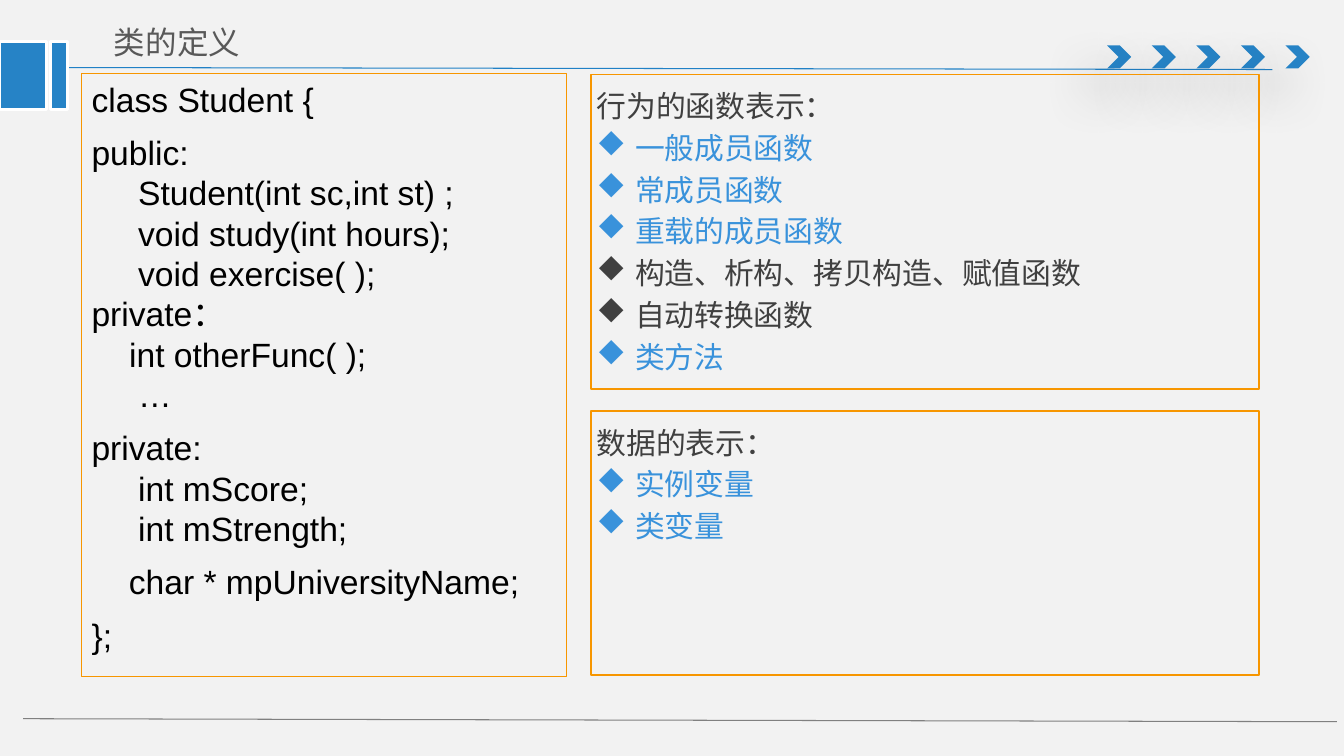
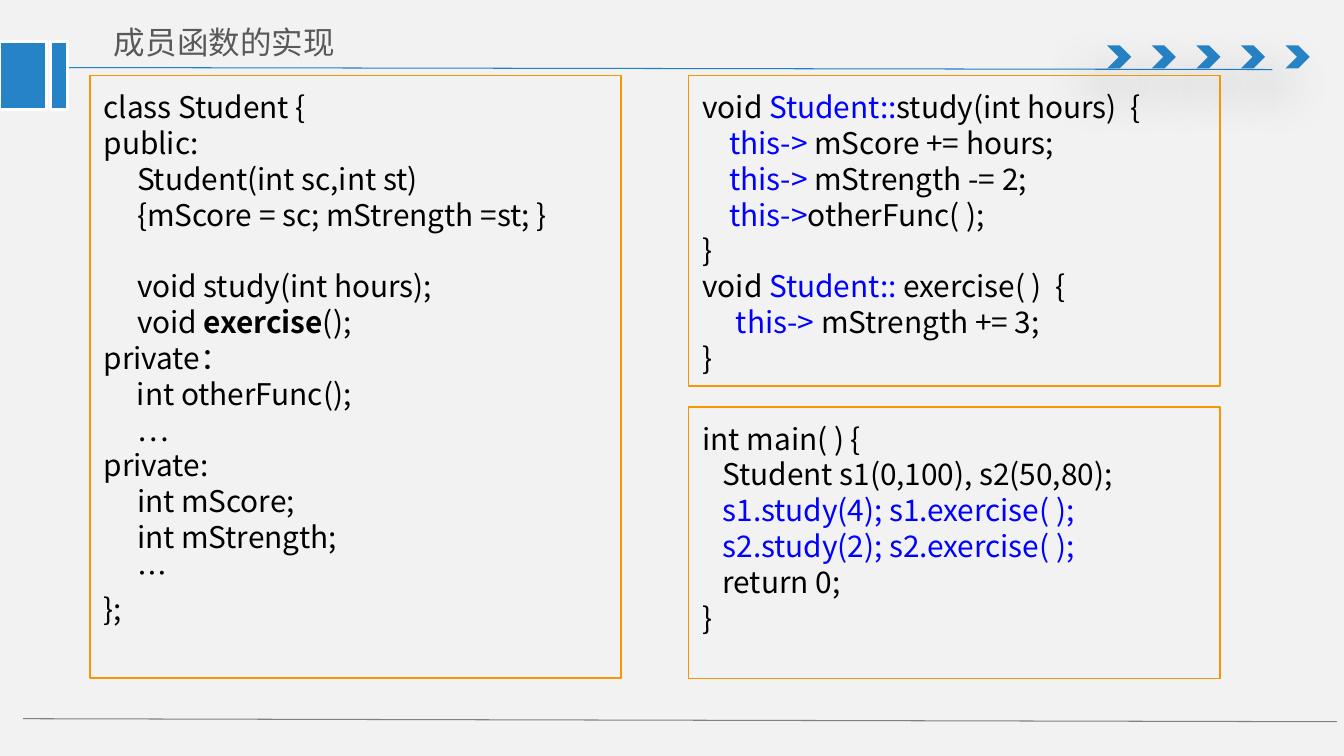
from lxml import etree
from pptx import Presentation
from pptx import util as u
from pptx.dml import color
from pptx.enum import shapes, text
from pptx.oxml import ns

BLUE = "2683C6"
RULE_BLUE = "2181C6"
GRAY = "808080"
TITLE_GRAY = "595959"
BODY_GRAY = "404040"
HIGHLIGHT = "3992DB"
KEYWORD = "0000FF"
ORANGE = "F79600"
BLACK = "000000"
WHITE = "FFFFFF"
BACKGROUND = "F2F2F2"
CJK_FONT = "Noto Sans CJK SC"
CODE_FONT = "Arial"


def rgb(value):
    return color.RGBColor.from_string(value)


def add_xml(parent, tag, **attributes):
    return etree.SubElement(parent, ns.qn(tag), attributes)


class Deck:
    def __init__(self):
        self.presentation = Presentation()
        self.presentation.slide_width = u.Inches(13.33)
        self.presentation.slide_height = u.Inches(7.5)
        self.slide = None

    def new_slide(self, title):
        self.slide = self.presentation.slides.add_slide(self.presentation.slide_layouts[6])
        fill = self.slide.background.fill
        fill.solid()
        fill.fore_color.rgb = rgb(BACKGROUND)
        self.rule((0.53, 0.67), (12.62, 0.69), RULE_BLUE)
        first, last, count = 10.98, 12.75, 5
        for index in range(count):
            left = first + index * (last - first) / (count - 1)
            chevron = self.shape((left, 0.45, 0.24, 0.23), shapes.MSO_SHAPE.CHEVRON, fill=BLUE)
            self.soft_shadow(chevron)
        self.rule((0.23, 7.13), (13.26, 7.16), GRAY)
        for left, width in ((0, 0.46), (0.5, 0.17)):
            self.shape((left, 0.41, width, 0.68), fill=BLUE, line=WHITE, weight=2)
        box = self.text_box((0.99, 0.14, 4.63, 0.55))
        frame = box.text_frame
        frame.vertical_anchor = text.MSO_ANCHOR.MIDDLE
        frame.margin_left = frame.margin_right = u.Inches(0.14)
        frame.margin_top = frame.margin_bottom = u.Inches(0.07)
        self.add_text(box, [[(title, TITLE_GRAY)]], size=22.5)

    def rule(self, start, end, line):
        connector = self.slide.shapes.add_connector(
            shapes.MSO_CONNECTOR.STRAIGHT, *map(u.Inches, start + end))
        connector.line.color.rgb = rgb(line)
        connector.line.width = u.Pt(0.75)
        add_xml(connector._element.spPr, "a:effectLst")

    def shape(self, place, kind=shapes.MSO_SHAPE.RECTANGLE, fill=None, line=None,
              weight=1.25, parent=None):
        shape = (parent or self.slide).shapes.add_shape(kind, *map(u.Inches, place))
        shape.shadow.inherit = False
        if fill:
            shape.fill.solid()
            shape.fill.fore_color.rgb = rgb(fill)
        else:
            shape.fill.background()
        if line:
            shape.line.color.rgb = rgb(line)
            shape.line.width = u.Pt(weight)
        else:
            shape.line.fill.background()
        return shape

    def soft_shadow(self, shape):
        effects = shape._element.spPr.find(ns.qn("a:effectLst"))
        shadow = add_xml(effects, "a:outerShdw", blurRad=str(u.Pt(36)), dist=str(u.Pt(24)),
                         dir=str(130 * 60000), algn="ctr", rotWithShape="0")
        tint = add_xml(shadow, "a:srgbClr", val=BLACK)
        add_xml(tint, "a:alpha", val="38000")

    def text_box(self, place, parent=None):
        box = (parent or self.slide).shapes.add_textbox(*map(u.Inches, place))
        box.text_frame.word_wrap = True
        return box

    def add_text(self, shape, paragraphs, size=21.3, font=CJK_FONT, pitch=None, gap=0,
                 bullets=False):
        frame = shape.text_frame
        for index, runs in enumerate(paragraphs):
            paragraph = frame.add_paragraph() if index else frame.paragraphs[0]
            paragraph.alignment = text.PP_ALIGN.LEFT
            if pitch:
                paragraph.line_spacing = u.Pt(pitch)
            if index and gap:
                paragraph.space_before = u.Pt(gap)
            if index and bullets:
                self.bullet(paragraph)
            for content, ink, *bold in runs:
                for number, line in enumerate(content.split("\n")):
                    if number:
                        paragraph.add_line_break()
                    if line:
                        self.add_run(paragraph, line, ink, size, font, bool(bold))

    def add_run(self, paragraph, content, ink, size, font, bold):
        run = paragraph.add_run()
        run.text = content
        run.font.size = u.Pt(size)
        run.font.bold = bold
        run.font.name = font
        run.font.color.rgb = rgb(ink)
        add_xml(run._r.get_or_add_rPr(), "a:ea", typeface=CJK_FONT)

    def bullet(self, paragraph):
        properties = paragraph._p.get_or_add_pPr()
        properties.set("marL", str(u.Inches(0.38)))
        properties.set("indent", str(u.Inches(-0.38)))
        add_xml(properties, "a:buFont", typeface="Wingdings")
        add_xml(properties, "a:buChar", char="u")

    def panel(self, place, paragraphs, text_offset=0.04, text_width=4.85, gap=0, bullets=False):
        left, top, width, height = place
        group = self.slide.shapes.add_group_shape()
        self.shape(place, line=ORANGE, parent=group)
        box = self.text_box((left + text_offset, top + 0.08, text_width, height - 0.1), group)
        self.add_text(box, paragraphs, pitch=25.6, gap=gap, bullets=bullets)

    def code_box(self, place, paragraphs):
        box = self.shape(place, line=ORANGE, weight=0.75)
        box.text_frame.word_wrap = True
        box.text_frame.vertical_anchor = text.MSO_ANCHOR.TOP
        self.add_text(box, paragraphs, size=24, font=CODE_FONT, pitch=28.8, gap=9.3)

    def list_panel(self, place, heading, items):
        paragraphs = [[(heading, BODY_GRAY)]] + [[item] for item in items]
        self.panel(place, paragraphs, text_offset=-0.04, text_width=6.73, gap=4.26, bullets=True)


def class_definition(deck):
    deck.new_slide("类的定义")
    code = [
        "class Student {",
        "public:\n     Student(int sc,int st) ;\n     void study(int hours);\n"
        "     void exercise( );\nprivate：\n     int otherFunc( );\n     …",
        "private:\n     int mScore;\n     int mStrength;",
        "    char * mpUniversityName;",
        "};",
    ]
    deck.code_box((0.81, 0.73, 4.81, 5.98), [[(part, BLACK)] for part in code])
    deck.list_panel((5.86, 0.74, 6.63, 3.12), "行为的函数表示：", [
        ("一般成员函数", HIGHLIGHT),
        ("常成员函数", HIGHLIGHT),
        ("重载的成员函数", HIGHLIGHT),
        ("构造、析构、拷贝构造、赋值函数", BODY_GRAY),
        ("自动转换函数", BODY_GRAY),
        ("类方法", HIGHLIGHT),
    ])
    deck.list_panel((5.86, 4.08, 6.63, 2.62), "数据的表示：", [
        ("实例变量", HIGHLIGHT),
        ("类变量", HIGHLIGHT),
    ])


def member_functions(deck):
    deck.new_slide("成员函数的实现")
    deck.panel((0.89, 0.75, 5.27, 5.98), [
        [("class Student {", BLACK)],
        [("public:\n     Student(int sc,int st)\n     {mScore = sc; mStrength =st; }\n\n"
          "     void study(int hours);\n     void ", BLACK),
         ("exercise", BLACK, True),
         ("();\nprivate：\n     int otherFunc();\n     …", BLACK)],
        [("private:\n     int mScore;\n     int mStrength;", BLACK)],
        [("     …", BLACK)],
        [("};", BLACK)],
    ], text_width=5.12)
    deck.panel((6.83, 0.75, 5.27, 3.08), [
        [("void ", BLACK), ("Student::", KEYWORD), ("study(int hours)  {\n    ", BLACK),
         ("this-> ", KEYWORD), ("mScore += hours;\n    ", BLACK),
         ("this-> ", KEYWORD), ("mStrength -= 2;\n    ", BLACK),
         ("this->", KEYWORD), ("otherFunc( );", BLACK)],
        [("}", BLACK)],
        [("void ", BLACK), ("Student:: ", KEYWORD), ("exercise( )  {\n     ", BLACK),
         ("this-> ", KEYWORD), ("mStrength += 3;", BLACK)],
        [("}", BLACK)],
    ])
    deck.panel((6.83, 4.04, 5.27, 2.69), [
        [("int main( ) {\n   Student s1(0,100), s2(50,80);\n", BLACK),
         ("   s1.study(4); s1.exercise( );\n   s2.study(2); s2.exercise( );\n", KEYWORD),
         ("   return 0;\n}", BLACK)],
    ])


def main():
    deck = Deck()
    class_definition(deck)
    member_functions(deck)
    deck.presentation.save("out.pptx")


if __name__ == "__main__":
    main()
